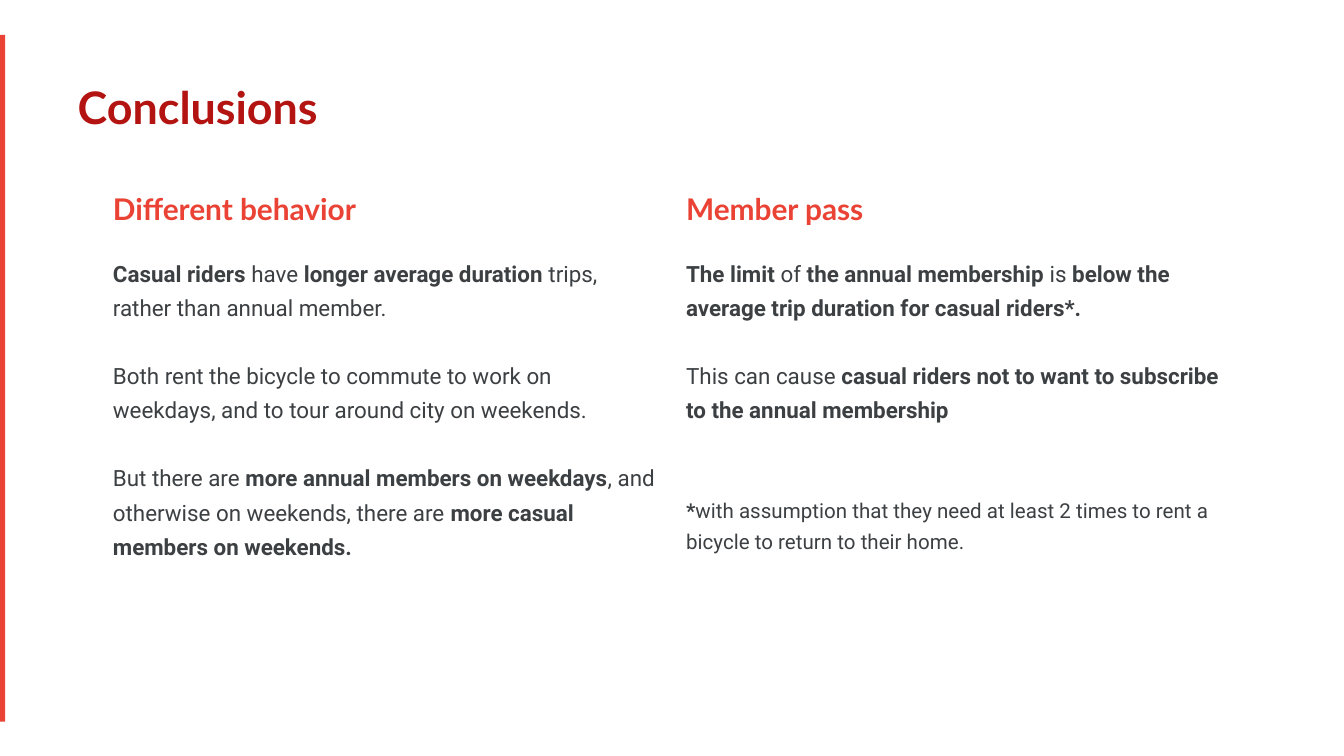
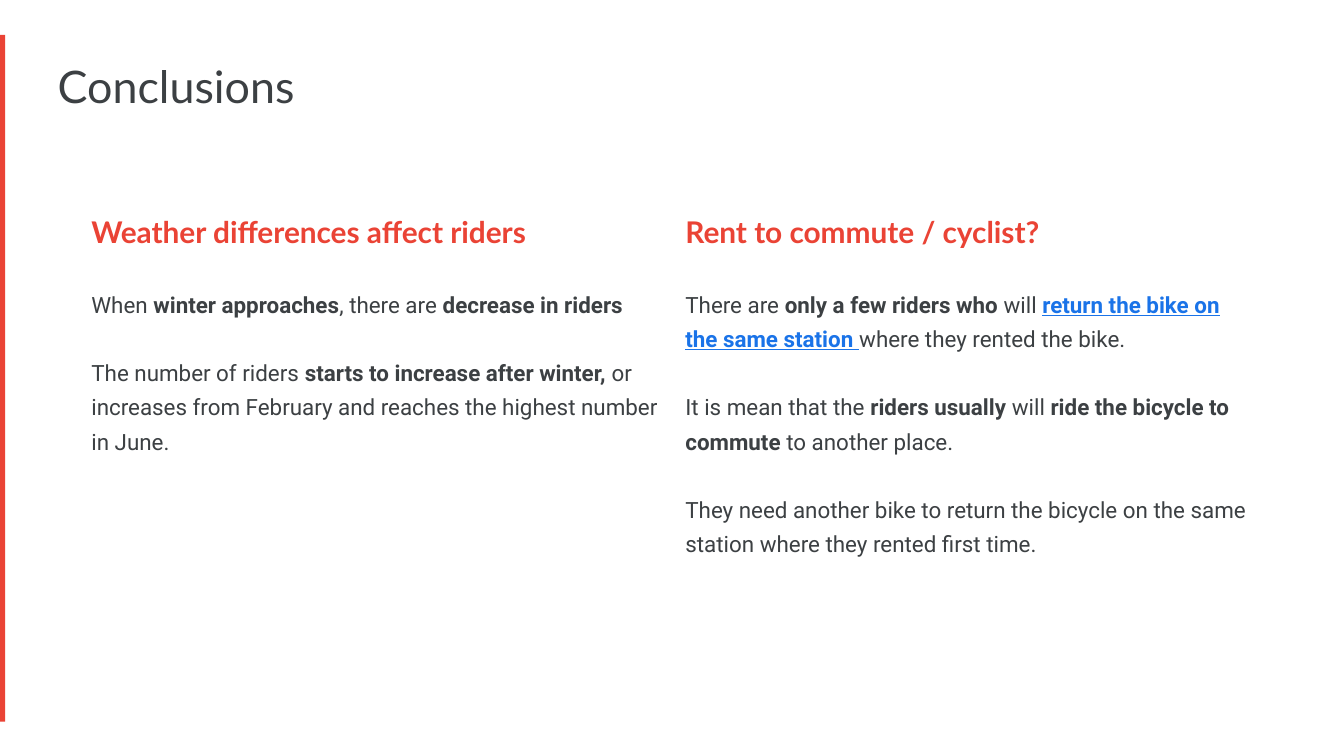
import pptx
import pptx.util
import pptx.dml.color
import pptx.enum.shapes
import pptx.enum.text

Inches = pptx.util.Inches
Pt = pptx.util.Pt
RGBColor = pptx.dml.color.RGBColor

RED = RGBColor(0xEA, 0x43, 0x35)
DARK_RED = RGBColor(0xB3, 0x14, 0x12)
GREY = RGBColor(0x3C, 0x40, 0x43)
BLUE = RGBColor(0x1A, 0x73, 0xE8)
HEADING_FONT = "Lato"
BODY_FONT = "Roboto"
BOLD_MARK = "|"
LINK_MARK = "~"
BODY_SIZE = 12
BODY_SPACING = 1.3
BLANK_LINE = 18.3

BEHAVIOR = [
    "|Casual riders |have| longer average duration |trips, rather than annual member.",
    "Both rent the bicycle to commute to work on weekdays, and to tour around city on weekends.",
    "But there are |more annual members on weekdays|, and otherwise on weekends, "
    "there are |more casual members on weekends.",
]
MEMBER_PASS = [
    "|The limit |of |the annual membership |is "
    "|below the average trip duration for casual riders*.",
    "This can cause |casual riders not to want to subscribe to the annual membership",
]
FOOTNOTE = (
    "|*|with assumption that they need at least 2 times to rent a bicycle "
    "to return to their home."
)
WEATHER = [
    "When |winter approaches|, there are |decrease in riders",
    "The number of riders |starts to increase after winter,| or increases from February "
    "and reaches the highest number in June.",
]
COMMUTE = [
    "There are |only a few riders who| will ~|return the bike on the same station |~"
    "where they rented the bike.",
    "It is mean that the |riders usually |will |ride the bicycle to commute |to another place.",
    "They need another bike to return the bicycle on the same station "
    "where they rented first time.",
]


def write_text(frame, text, *, size, font, color, bold=False, spacing=None, before=0, new=False):
    paragraph = frame.add_paragraph() if new else frame.paragraphs[0]
    paragraph.alignment = pptx.enum.text.PP_ALIGN.LEFT
    paragraph.space_before = Pt(before)
    if spacing:
        paragraph.line_spacing = spacing
    for link_index, section in enumerate(text.split(LINK_MARK)):
        is_link = link_index % 2 == 1
        for bold_index, piece in enumerate(section.split(BOLD_MARK)):
            if not piece:
                continue
            run = paragraph.add_run()
            run.text = piece
            run.font.size = Pt(size)
            run.font.name = font
            run.font.bold = bold or bold_index % 2 == 1
            run.font.underline = is_link
            run.font.color.rgb = BLUE if is_link else color


def add_side_bar(slide):
    bar = slide.shapes.add_shape(
        pptx.enum.shapes.MSO_SHAPE.RECTANGLE,
        Inches(-0.02), Inches(0.26), Inches(0.06), Inches(5.11),
    )
    bar.shadow.inherit = False
    bar.fill.solid()
    bar.fill.fore_color.rgb = RED
    bar.line.fill.background()


def add_title(slide, box, inset, **style):
    text_box = slide.shapes.add_textbox(*map(Inches, box))
    frame = text_box.text_frame
    frame.word_wrap = True
    frame.vertical_anchor = pptx.enum.text.MSO_ANCHOR.TOP
    frame.margin_left = frame.margin_right = Inches(inset)
    frame.margin_top = frame.margin_bottom = Inches(inset)
    write_text(frame, "Conclusions", size=24, font=HEADING_FONT, **style)


def write_body(frame, paragraphs):
    for index, text in enumerate(paragraphs):
        write_text(
            frame, text, size=BODY_SIZE, font=BODY_FONT, color=GREY, spacing=BODY_SPACING,
            before=BLANK_LINE if index else 0, new=index > 0,
        )


def add_findings(slide, box, row_heights, columns):
    table = slide.shapes.add_table(len(row_heights), len(columns), *map(Inches, box)).table
    table.first_row = False
    table.horz_banding = False
    for row, height in zip(table.rows, row_heights):
        row.height = Inches(height)
    for cell in table.iter_cells():
        cell.fill.background()
        cell.margin_left = cell.margin_right = Inches(0.1)
        cell.margin_top = cell.margin_bottom = Inches(0.1)
    for index, (heading, paragraphs) in enumerate(columns):
        write_text(
            table.cell(0, index).text_frame, heading,
            size=16, font=HEADING_FONT, color=RED, bold=True,
        )
        write_body(table.cell(1, index).text_frame, paragraphs)
    return table


def build_behavior_slide(slide):
    add_side_bar(slide)
    add_title(slide, (0.48, 0.49, 6.71, 0.45), 0.1, color=DARK_RED, bold=True)
    table = add_findings(
        slide, (0.74, 1.32, 8.53, 3.44), (0.43, 2.97),
        [("Different behavior", BEHAVIOR), ("Member pass", MEMBER_PASS)],
    )
    write_text(
        table.cell(1, 1).text_frame, FOOTNOTE, size=11, font=BODY_FONT, color=GREY,
        spacing=BODY_SPACING, before=2 * BLANK_LINE, new=True,
    )


def build_season_slide(slide):
    add_side_bar(slide)
    add_title(slide, (0.41, 0.46, 8.53, 0.45), 0.02, color=GREY, spacing=0.9)
    add_findings(
        slide, (0.58, 1.49, 8.84, 3.3), (0.53, 2.77),
        [("Weather differences affect riders", WEATHER),
         ("Rent to commute / cyclist?", COMMUTE)],
    )


def main():
    presentation = pptx.Presentation()
    presentation.slide_width = Inches(10)
    presentation.slide_height = presentation.slide_width * 9 // 16
    blank_layout = presentation.slide_layouts[6]
    for build_slide in (build_behavior_slide, build_season_slide):
        build_slide(presentation.slides.add_slide(blank_layout))
    presentation.save("out.pptx")


if __name__ == "__main__":
    main()
